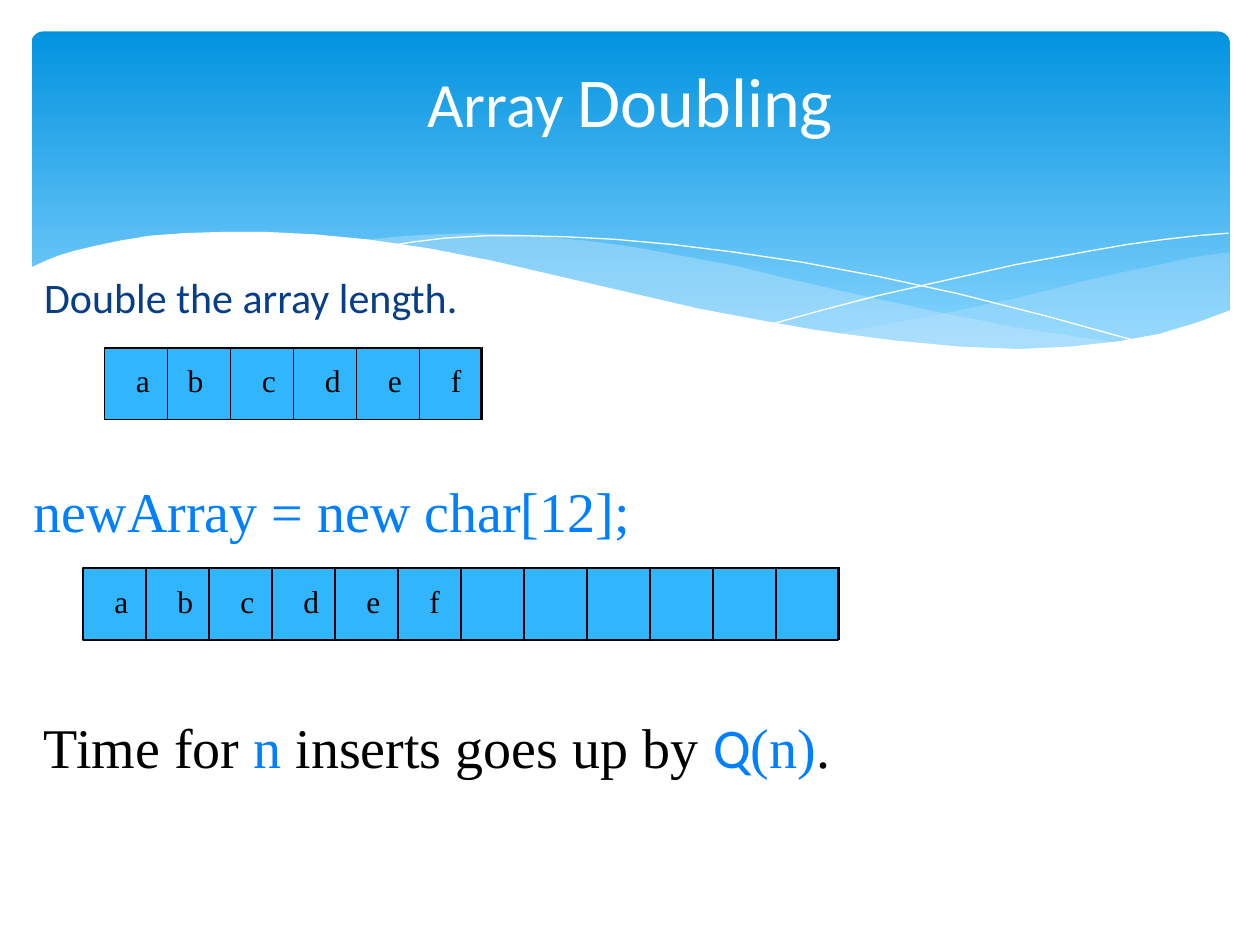
from dataclasses import dataclass

from lxml.etree import SubElement
from pptx import Presentation
from pptx.dml.color import RGBColor as Rgb
from pptx.enum.shapes import MSO_CONNECTOR as Connector, MSO_SHAPE as Preset
from pptx.enum.text import MSO_ANCHOR as Anchor, MSO_AUTO_SIZE as AutoSize, PP_ALIGN as Align
from pptx.oxml.ns import qn
from pptx.util import Inches, Pt


@dataclass(frozen=True)
class Theme:
    """Colours, fonts and type sizes of the slide."""
    white: str = "FFFFFF"
    black: str = "000000"
    navy: str = "073E87"
    code: str = "0080FF"
    cell: str = "31B6FD"
    mist: str = "C6E7FC"
    band_top: str = "0293E0"
    band_bottom: str = "83D3FE"
    sans: str = "Calibri"
    serif: str = "Times New Roman"
    title: int = 40
    title_small: int = 36
    statement: int = 32
    body: int = 24
    label: int = 18


THEME = Theme()
CELL_WIDTH, CELL_HEIGHT = 0.5, 0.57

BACK_WAVE = [
    (9.76, 2), (9.48, 2.04), (9.21, 2.1), (8.91, 2.16), (8.61, 2.23), (8.05, 2.37),
    (7.53, 2.48), (7.06, 2.57), (6.61, 2.65), (6.91, 2.69), (7.32, 2.74), (7.69, 2.77),
    (8.03, 2.78), (8.44, 2.77), (8.81, 2.73), (9.13, 2.67), (9.42, 2.59), (9.76, 2.47),
]
MIDDLE_WAVE = [
    (8.93, 2.73), (8.66, 2.69), (8.07, 2.6), (7.41, 2.47), (6.68, 2.31), (6.29, 2.22),
    (5.84, 2.11), (5.41, 2.03), (5.02, 1.96), (4.65, 1.91), (4.2, 1.87), (3.8, 1.85),
    (3.44, 1.86), (3.13, 1.88), (2.86, 1.91), (3.23, 1.96), (3.62, 2.03), (4.04, 2.11),
    (4.49, 2.22), (4.91, 2.32), (5.3, 2.4), (5.66, 2.48), (6.01, 2.55), (6.34, 2.61),
    (6.65, 2.66), (6.95, 2.7), (7.36, 2.75), (7.73, 2.77), (8.07, 2.78), (8.48, 2.77),
]
FALLING_LINE = [
    (3.09, 1.95), (3.28, 1.92), (3.53, 1.89), (3.87, 1.87), (4.16, 1.87), (4.5, 1.88),
    (4.89, 1.9), (5.33, 1.94), (5.82, 2), (6.36, 2.08), (6.95, 2.19), (7.6, 2.33),
    (8.31, 2.51), (9.07, 2.72),
]
RISING_LINE = [
    (6.13, 2.57), (6.53, 2.46), (6.95, 2.35), (7.48, 2.23), (8.06, 2.1), (8.66, 1.99),
    (8.95, 1.94), (9.24, 1.9), (9.51, 1.87), (9.75, 1.85),
]
FRONT_WAVE = [
    (9.77, 2.46), (9.5, 2.56), (9.2, 2.65), (8.87, 2.71), (8.5, 2.75), (8.09, 2.77),
    (7.61, 2.75), (7.08, 2.7), (6.48, 2.62), (6.03, 2.54), (5.55, 2.45), (5.03, 2.33),
    (4.47, 2.2), (3.91, 2.07), (3.4, 1.97), (2.92, 1.9), (2.5, 1.86), (2.11, 1.84),
    (1.77, 1.84), (1.46, 1.85), (1.19, 1.87), (0.95, 1.91), (0.76, 1.95), (0.59, 1.99),
    (0.46, 2.03), (0.36, 2.07), (0.23, 2.13), (0.23, 3.29), (9.77, 3.29),
]


class Painter:
    """Draws styled elements on the current slide."""

    def __init__(self, page, theme):
        self.page = page
        self.theme = theme

    def set_font(self, font, size, name, color):
        font.size = Pt(size)
        font.name = name
        font.color.rgb = Rgb.from_string(color)

    def place(self, shape, left, top, width, height):
        shape.left, shape.top = Inches(left), Inches(top)
        shape.width, shape.height = Inches(width), Inches(height)
        shape.element.getparent().append(shape.element)

    def band(self, left, top, width, height):
        box = self.page.shapes.add_shape(
            Preset.ROUNDED_RECTANGLE, Inches(left), Inches(top), Inches(width), Inches(height))
        box.adjustments[0] = 0.034
        box.shadow.inherit = False
        box.line.fill.background()
        box.fill.gradient()
        box.fill.gradient_angle = 270
        colors = (self.theme.band_top, self.theme.band_bottom)
        for stop, color, position in zip(box.fill.gradient_stops, colors, (0, 0.9)):
            stop.color.rgb = Rgb.from_string(color)
            stop.position = position

    def outline(self, points, close):
        start, *rest = [(Inches(x), Inches(y)) for x, y in points]
        builder = self.page.shapes.build_freeform(*start)
        builder.add_line_segments(rest, close=close)
        shape = builder.convert_to_shape()
        shape.shadow.inherit = False
        return shape

    def wave(self, points, color, opacity=100):
        shape = self.outline(points, close=True)
        shape.line.fill.background()
        shape.fill.solid()
        shape.fill.fore_color.rgb = Rgb.from_string(color)
        if opacity < 100:
            tint = shape.element.spPr.find(".//" + qn("a:srgbClr"))
            SubElement(tint, qn("a:alpha")).set("val", str(opacity * 1000))

    def curve(self, points):
        shape = self.outline(points, close=False)
        shape.fill.background()
        shape.line.color.rgb = Rgb.from_string(self.theme.white)
        shape.line.width = Pt(0)

    def title(self, spans):
        box = self.page.shapes.title
        self.place(box, 0.75, 0.33, 8.5, 0.92)
        box.text_frame.auto_size = AutoSize.NONE
        box.text_frame.vertical_anchor = Anchor.MIDDLE
        para = box.text_frame.paragraphs[0]
        para.alignment = Align.CENTER
        for text, size in spans:
            span = para.add_run()
            span.text = text
            self.set_font(span.font, size, self.theme.sans, self.theme.white)

    def body(self, text):
        box = self.page.placeholders[1]
        self.place(box, 0.25, 2.15, 8.5, 0.58)
        box.text_frame.auto_size = AutoSize.NONE
        para = box.text_frame.paragraphs[0]
        para.text = text
        para.line_spacing = 0.9
        para.space_before = Pt(0)
        self.set_font(para.font, self.theme.body, self.theme.sans, self.theme.navy)
        props = para._p.get_or_add_pPr()
        props.set("marL", str(Inches(0.3)))
        props.set("indent", str(Inches(-0.3)))
        props.insert_element_before(props.makeelement(qn("a:buNone"), {}), "a:defRPr")

    def statement(self, left, top, width, spans):
        box = self.page.shapes.add_textbox(Inches(left), Inches(top), Inches(width), Inches(0.63))
        box.text_frame.word_wrap = True
        para = box.text_frame.paragraphs[0]
        para.space_before = Pt(4)
        for text, name, color in spans:
            span = para.add_run()
            span.text = text
            self.set_font(span.font, self.theme.statement, name, color)

    def divider(self, group, x, top):
        line = group.shapes.add_connector(
            Connector.STRAIGHT, Inches(x), Inches(top), Inches(x), Inches(top + 0.58))
        line.line.color.rgb = Rgb.from_string(self.theme.black)
        line.line.width = Pt(1)
        SubElement(line.element.spPr, qn("a:effectLst"))

    def label(self, group, text, left, top):
        box = group.shapes.add_textbox(Inches(left), Inches(top), Inches(0.36), Inches(0.5))
        box.text_frame.word_wrap = True
        para = box.text_frame.paragraphs[0]
        para.text = text
        self.set_font(para.font, self.theme.label, self.theme.serif, self.theme.black)

    def array(self, left, top, length, letters, nudges):
        group = self.page.shapes.add_group_shape()
        frame = group.shapes.add_shape(
            Preset.RECTANGLE, Inches(left), Inches(top),
            Inches(length * CELL_WIDTH - 0.01), Inches(CELL_HEIGHT))
        frame.shadow.inherit = False
        frame.fill.solid()
        frame.fill.fore_color.rgb = Rgb.from_string(self.theme.cell)
        frame.line.color.rgb = Rgb.from_string(self.theme.black)
        frame.line.width = Pt(1)
        for index in range(1, length + 1):
            self.divider(group, left + index * CELL_WIDTH, top - 0.01)
        for index, letter in enumerate(letters):
            offset = 0.15 + index * CELL_WIDTH + nudges.get(letter, 0)
            self.label(group, letter, left + offset, top + 0.06)


def main():
    deck = Presentation()
    deck.slide_width, deck.slide_height = Inches(10), Inches(7.5)
    painter = Painter(deck.slides.add_slide(deck.slide_layouts[1]), THEME)

    painter.band(0.25, 0.25, 9.51, 2.7)
    painter.wave(BACK_WAVE, THEME.mist, opacity=29)
    painter.wave(MIDDLE_WAVE, THEME.mist, opacity=40)
    painter.curve(FALLING_LINE)
    painter.curve(RISING_LINE)
    painter.wave(FRONT_WAVE, THEME.white)

    painter.title([("Array ", THEME.title_small), ("Doubling", THEME.title)])
    painter.body("Double the array length.")
    painter.array(0.83, 2.76, 6, "abcdef", {"b": -0.09})
    painter.statement(0.17, 3.73, 6.25, [("newArray = new char[12];", THEME.serif, THEME.code)])
    painter.array(0.66, 4.51, 12, "abcdef", {})
    painter.statement(0.25, 5.61, 8.83, [
        ("Time for", THEME.serif, THEME.black),
        (" n ", THEME.serif, THEME.code),
        ("inserts goes up by ", THEME.serif, THEME.black),
        ("Q", THEME.sans, THEME.code),
        ("(n)", THEME.serif, THEME.code),
        (".", THEME.serif, THEME.black),
    ])
    deck.save("out.pptx")


if __name__ == "__main__":
    main()
